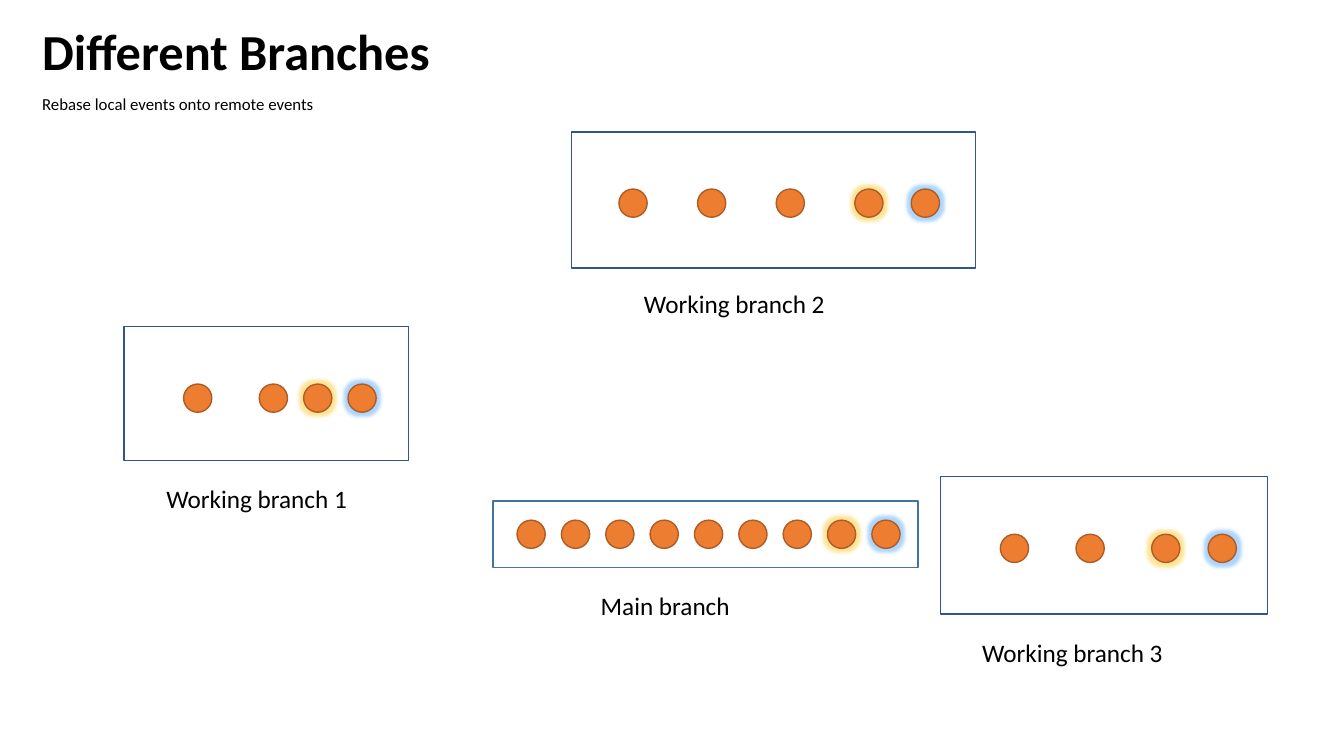
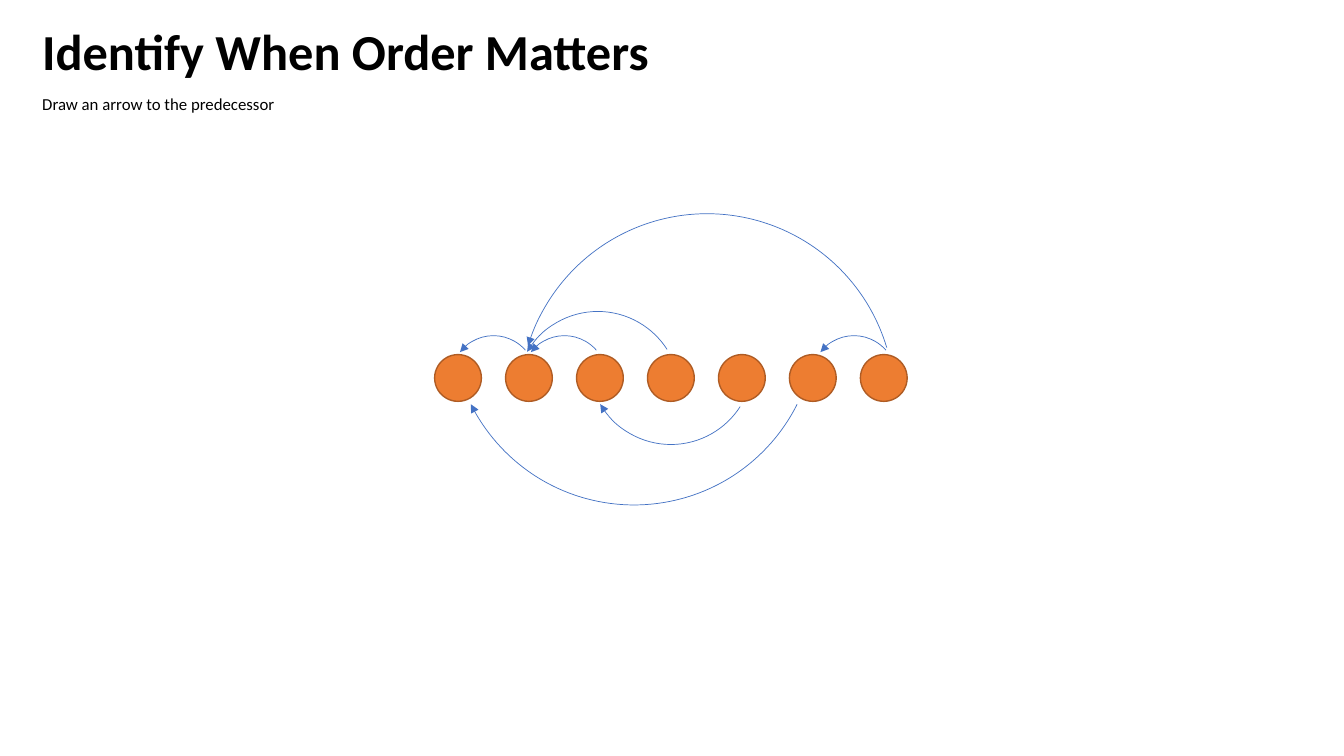
from dataclasses import dataclass
from itertools import accumulate

from lxml.etree import SubElement
from pptx import Presentation
from pptx.dml.color import RGBColor
from pptx.enum.shapes import MSO_SHAPE as Preset
from pptx.enum.text import MSO_ANCHOR as Anchor, PP_ALIGN as Align
from pptx.oxml.ns import qn
from pptx.util import Inches, Pt

BLACK = RGBColor(0x00, 0x00, 0x00)
ORANGE = RGBColor(0xED, 0x7D, 0x31)
DARK_ORANGE = RGBColor(0xAF, 0x5C, 0x24)
NAVY = RGBColor(0x32, 0x54, 0x91)
STEEL = RGBColor(0x43, 0x73, 0x9E)
ARROW_BLUE = RGBColor(0x44, 0x72, 0xC4)
GLOW_YELLOW = RGBColor(0xFF, 0xC0, 0x00)
GLOW_BLUE = RGBColor(0x33, 0x99, 0xFF)

FONT = "Calibri"
SLIDE_WIDTH, SLIDE_HEIGHT = Inches(13.33), Inches(7.5)
COLUMN, ROW = SLIDE_WIDTH / 100, SLIDE_HEIGHT / 100


@dataclass
class Branch:
    label: str
    box: tuple
    first_event: float
    gaps: list
    event_drop: float
    label_center: float
    label_gap: float
    border: RGBColor = NAVY


@dataclass
class Arrow:
    center: float
    drop: float
    diameter: float
    angles: tuple
    below: bool = False


BRANCHES = [
    Branch("Working branch 1", (9.23, 43.2, 21.15, 17.73), 5.48,
           [5.63, 3.3, 3.3], 0.6, 9.87, 2.4),
    Branch("Working branch 2", (42.52, 17.47, 30.08, 18), 4.58,
           [5.85] * 3 + [4.2], 0.4, 12.12, 2),
    Branch("Working branch 3", (70, 63.07, 24.3, 18.13), 5.48,
           [5.63] * 2 + [4.2], 0.4, 9.79, 2.4),
    Branch("Main branch", (36.67, 66.27, 31.65, 8.8), 2.85,
           [3.3] * 8, 0, 12.83, 2.4, STEEL),
]

SHORT_ANGLES = (217.63, 318.96)
MIDDLE_ANGLES = (210.6, 327.43)
ARROWS = [
    Arrow(0.5, 0, 6.3, SHORT_ANGLES),
    Arrow(1.5, 0, 6.3, SHORT_ANGLES),
    Arrow(1.97, 2.07, 12.23, MIDDLE_ANGLES),
    Arrow(5.58, 0, 6.3, SHORT_ANGLES),
    Arrow(3, -2.07, 12.23, MIDDLE_ANGLES, below=True),
    Arrow(2.48, -7.33, 27.15, (206.6, 333.34), below=True),
    Arrow(3.51, 3.07, 27.9, (197.22, 343.41)),
]


def place(left, top, width, height):
    return (round(left * COLUMN), round(top * ROW),
            round(width * COLUMN), round(height * ROW))


def add_outline(slide, preset, bounds, color, weight=1):
    shape = slide.shapes.add_shape(preset, *bounds)
    shape.shadow.inherit = False
    shape.fill.background()
    shape.line.color.rgb = color
    shape.line.width = Pt(weight)
    return shape


def add_round(slide, preset, center, middle, diameter, color, weight=1):
    size = diameter * COLUMN
    bounds = (round(center * COLUMN - size / 2), round(middle * ROW - size / 2),
              round(size), round(size))
    return add_outline(slide, preset, bounds, color, weight)


def add_event(slide, center, middle, diameter, glow=None):
    event = add_round(slide, Preset.OVAL, center, middle, diameter, DARK_ORANGE)
    event.fill.solid()
    event.fill.fore_color.rgb = ORANGE
    if glow is not None:
        effects = event.element.spPr.find(qn("a:effectLst"))
        halo = SubElement(effects, qn("a:glow"), rad=str(Pt(5)))
        tint = SubElement(halo, qn("a:srgbClr"), val=str(glow))
        SubElement(tint, qn("a:alpha"), val="40000")


def add_text(slide, bounds, text, size, bold=False, anchor=Anchor.TOP,
             align=Align.LEFT, wrap=True, spacing=0.9):
    frame = slide.shapes.add_textbox(*bounds).text_frame
    frame.word_wrap = wrap
    frame.vertical_anchor = anchor
    paragraph = frame.paragraphs[0]
    paragraph.alignment = align
    paragraph.line_spacing = spacing
    run = paragraph.add_run()
    run.text = text
    run.font.name = FONT
    run.font.size = Pt(size)
    run.font.bold = bold
    run.font.color.rgb = BLACK


def add_titled_slide(presentation, title, subtitle):
    slide = presentation.slides.add_slide(presentation.slide_layouts[6])
    add_text(slide, place(2.4, 2.4, 95.4, 9.6), title, 36, True, Anchor.MIDDLE)
    add_text(slide, place(2.4, 12, 95.4, 4.93), subtitle, 12)
    return slide


def add_branch(slide, branch):
    left, top, width, height = branch.box
    middle = top + height / 2 + branch.event_drop
    centers = list(accumulate(branch.gaps, initial=left + branch.first_event))
    glows = [None] * (len(centers) - 2) + [GLOW_YELLOW, GLOW_BLUE]
    for center, glow in zip(centers, glows):
        add_event(slide, center, middle, 2.1, glow)
    add_outline(slide, Preset.RECTANGLE, place(*branch.box), branch.border)
    label_width = 15.08
    label_bounds = place(left + branch.label_center - label_width / 2,
                         top + height + branch.label_gap, label_width, 5.33)
    add_text(slide, label_bounds, branch.label, 18, align=Align.CENTER,
             wrap=False, spacing=1)


def add_arrow(slide, arrow, center, middle):
    arc = add_round(slide, Preset.ARC, center, middle + arrow.drop,
                    arrow.diameter, ARROW_BLUE, 0.5)
    for index, angle in enumerate(arrow.angles):
        arc.adjustments[index] = angle * 0.6
    properties = arc.element.spPr
    SubElement(properties.find(qn("a:ln")), qn("a:headEnd"), type="triangle")
    if arrow.below:
        properties.find(qn("a:xfrm")).set("flipV", "1")


def add_timeline(slide, first, pitch, middle, count):
    for index in range(count):
        add_event(slide, first + index * pitch, middle, 3.48)
    for arrow in ARROWS:
        add_arrow(slide, arrow, first + arrow.center * pitch, middle)


def main():
    presentation = Presentation()
    presentation.slide_width = SLIDE_WIDTH
    presentation.slide_height = SLIDE_HEIGHT

    slide = add_titled_slide(presentation, "Different Branches",
                             "Rebase local events onto remote events")
    for branch in BRANCHES:
        add_branch(slide, branch)

    slide = add_titled_slide(presentation, "Identify When Order Matters",
                             "Draw an arrow to the predecessor")
    add_timeline(slide, first=34.08, pitch=5.28, middle=50, count=7)

    presentation.save("out.pptx")


if __name__ == "__main__":
    main()
